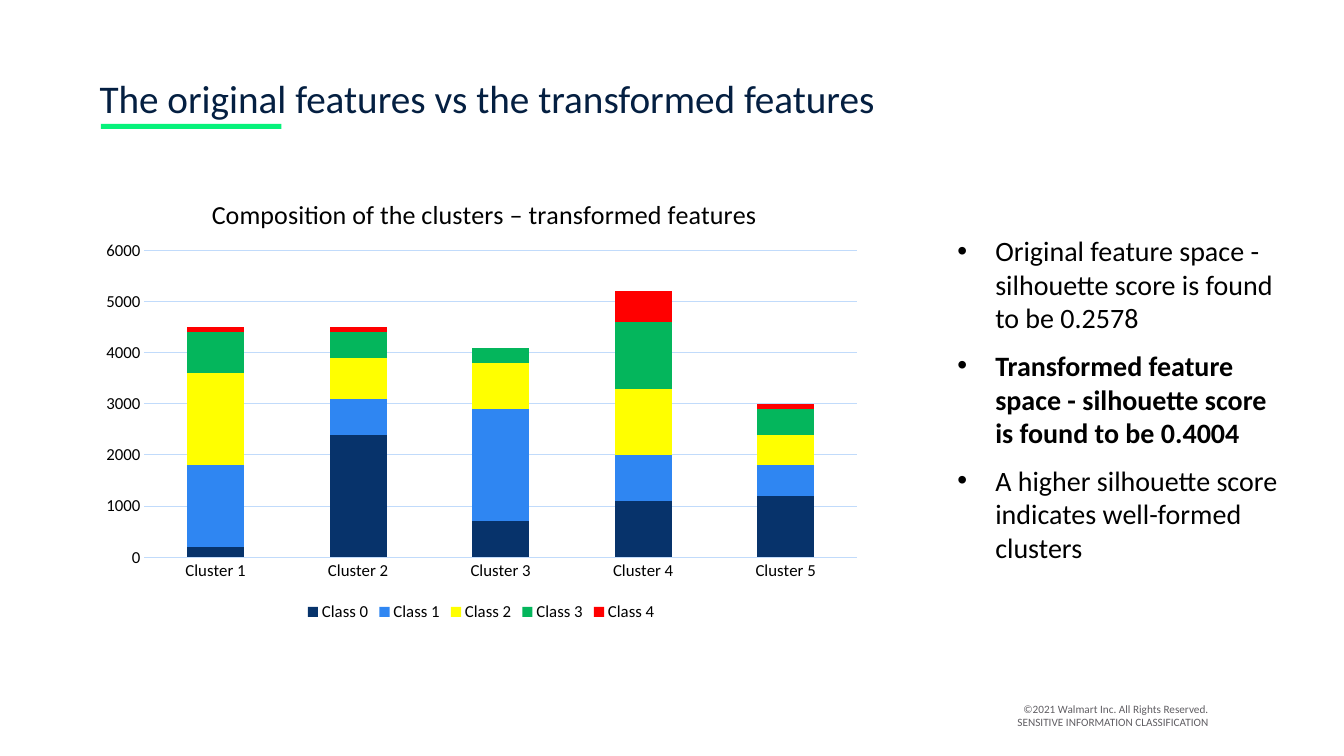
import pptx
import pptx.chart.data
import pptx.dml.color
import pptx.enum.chart
import pptx.enum.shapes
import pptx.enum.text
import pptx.oxml
import pptx.oxml.ns
import pptx.util

Pt = pptx.util.Pt

# Content
TITLE = "The original features vs the transformed features"
FOOTER = "©2021 Walmart Inc. All Rights Reserved.\vSENSITIVE INFORMATION CLASSIFICATION"
FINDINGS = [
    ("Original feature space - silhouette score is found to be 0.2578", False),
    ("Transformed feature space - silhouette score is found to be 0.4004", True),
    ("A higher silhouette score indicates well-formed clusters", False),
]
CHART_TITLE = "Composition of the clusters – transformed features"
CLUSTERS = [f"Cluster {number}" for number in range(1, 6)]
CLASSES = [
    ("Class 0", (200, 2400, 700, 1100, 1200), "07336B"),
    ("Class 1", (1600, 700, 2200, 900, 600), "2F86F2"),
    ("Class 2", (1800, 800, 900, 1300, 600), "FFFF00"),
    ("Class 3", (800, 500, 300, 1300, 500), "04B65C"),
    ("Class 4", (100, 100, 0, 600, 100), "FF0000"),
]

THEME = {
    "font": "Calibri", "text": "000000", "title": "041F41", "accent": "06F27B",
    "footer": "605E63", "grid": "C1DBFB", "background": "FFFFFF",
    "title_size": 28, "body_size": 20, "chart_title_size": 18.6,
    "label_size": 12, "footer_size": 8,
}

# Places in points: left, top, width, height
TITLE_BOX = (64, 49.7, 821.5, 41)
ACCENT_BAR = (72, 88.5, 129, 3.6)
CHART_BOX = (64, 120.2, 559.4, 326.9)
FINDINGS_BOX = (676.8, 163.4, 250.6, 326.9)
FOOTER_BOX = (643, 498.2, 227.5, 26.6)
BULLET_INDENT = 27


def rgb(name):
    return pptx.dml.color.RGBColor.from_string(THEME.get(name, name))


def points(box):
    return [Pt(length) for length in box]


def style_font(font, size, color="text", bold=False):
    font.name = THEME["font"]
    font.size = Pt(THEME[size])
    font.color.rgb = rgb(color)
    font.bold = bold


def add_text(slide, box, paragraphs, size, color="text", align="LEFT", bullet=False, gap=0):
    """Add a text box; paragraphs is a list of (text, bold)."""
    frame = slide.shapes.add_textbox(*points(box)).text_frame
    frame.word_wrap = True
    for index, (text, bold) in enumerate(paragraphs):
        paragraph = frame.add_paragraph() if index else frame.paragraphs[0]
        paragraph.text = text
        paragraph.alignment = getattr(pptx.enum.text.PP_ALIGN, align)
        paragraph.space_before = Pt(gap if index else 0)
        if bullet:
            properties = paragraph._p.get_or_add_pPr()
            properties.set("marL", str(Pt(BULLET_INDENT)))
            properties.set("indent", str(-Pt(BULLET_INDENT)))
            namespace = pptx.oxml.ns.nsdecls("a")
            for tag in ('buFont typeface="Arial"', 'buChar char="•"'):
                properties.append(pptx.oxml.parse_xml(f"<a:{tag.replace(' ', f' {namespace} ', 1)}/>"))
        style_font(paragraph.font, size, color, bold)
        for run in paragraph.runs:
            style_font(run.font, size, color, bold)


def set_layout(element, index, **fractions):
    """Place a chart part by fractions of the chart area."""
    for layout in element.findall(pptx.oxml.ns.qn("c:layout")):
        element.remove(layout)
    target = '<c:layoutTarget val="inner"/>' if "w" in fractions else ""
    modes = "".join(f'<c:{key}Mode val="edge"/>' for key in "xy")
    values = "".join(f'<c:{key} val="{value}"/>' for key, value in fractions.items())
    element.insert(index, pptx.oxml.parse_xml(
        f'<c:layout {pptx.oxml.ns.nsdecls("c")}><c:manualLayout>'
        f"{target}{modes}{values}</c:manualLayout></c:layout>"))


def add_cluster_chart(slide):
    data = pptx.chart.data.CategoryChartData()
    data.categories = CLUSTERS
    for name, values, _ in CLASSES:
        data.add_series(name, values)
    kind = pptx.enum.chart.XL_CHART_TYPE.COLUMN_STACKED
    chart = slide.shapes.add_chart(kind, *points(CHART_BOX), data).chart
    style_font(chart.font, "label_size")

    # Title and legend
    chart.has_title = True
    title_frame = chart.chart_title.text_frame
    title_frame.text = CHART_TITLE
    style_font(title_frame.paragraphs[0].runs[0].font, "chart_title_size")
    chart.chart_title.include_in_layout = False
    set_layout(chart.chart_title._element, 1, x=0.15, y=0.05)
    chart.has_legend = True
    chart.legend.position = pptx.enum.chart.XL_LEGEND_POSITION.BOTTOM
    chart.legend.include_in_layout = False
    style_font(chart.legend.font, "label_size")

    # Columns
    plot = chart.plots[0]
    plot.gap_width, plot.overlap, plot.vary_by_categories = 150, 100, False
    for series, (_, _, color) in zip(plot.series, CLASSES):
        series.format.fill.solid()
        series.format.fill.fore_color.rgb = rgb(color)
    set_layout(chart._chartSpace.chart.plotArea, 0, x=0.07, y=0.18, w=0.91, h=0.67)

    # Axes
    for axis in (chart.category_axis, chart.value_axis):
        axis.major_tick_mark = axis.minor_tick_mark = pptx.enum.chart.XL_TICK_MARK.NONE
        style_font(axis.tick_labels.font, "label_size")
    value_axis = chart.value_axis
    value_axis.minimum_scale, value_axis.maximum_scale, value_axis.major_unit = 0, 6000, 1000
    value_axis.has_major_gridlines = True
    value_axis.format.line.fill.background()
    for line in (chart.category_axis.format.line, value_axis.major_gridlines.format.line):
        line.color.rgb = rgb("grid")
        line.width = Pt(0.75)


def main():
    presentation = pptx.Presentation()
    presentation.slide_width, presentation.slide_height = Pt(960), Pt(540)
    slide = presentation.slides.add_slide(presentation.slide_layouts[6])
    slide.background.fill.solid()
    slide.background.fill.fore_color.rgb = rgb("background")

    # Footer, accent bar and title
    add_text(slide, FOOTER_BOX, [(FOOTER, False)], "footer_size", color="footer", align="RIGHT")
    bar = slide.shapes.add_shape(pptx.enum.shapes.MSO_SHAPE.RECTANGLE, *points(ACCENT_BAR))
    bar.shadow.inherit = False
    bar.fill.solid()
    bar.fill.fore_color.rgb = rgb("accent")
    bar.line.fill.background()
    add_text(slide, TITLE_BOX, [(TITLE, False)], "title_size", color="title")

    # Findings and chart
    add_text(slide, FINDINGS_BOX, FINDINGS, "body_size", bullet=True, gap=10)
    add_cluster_chart(slide)
    presentation.save("out.pptx")


if __name__ == "__main__":
    main()
